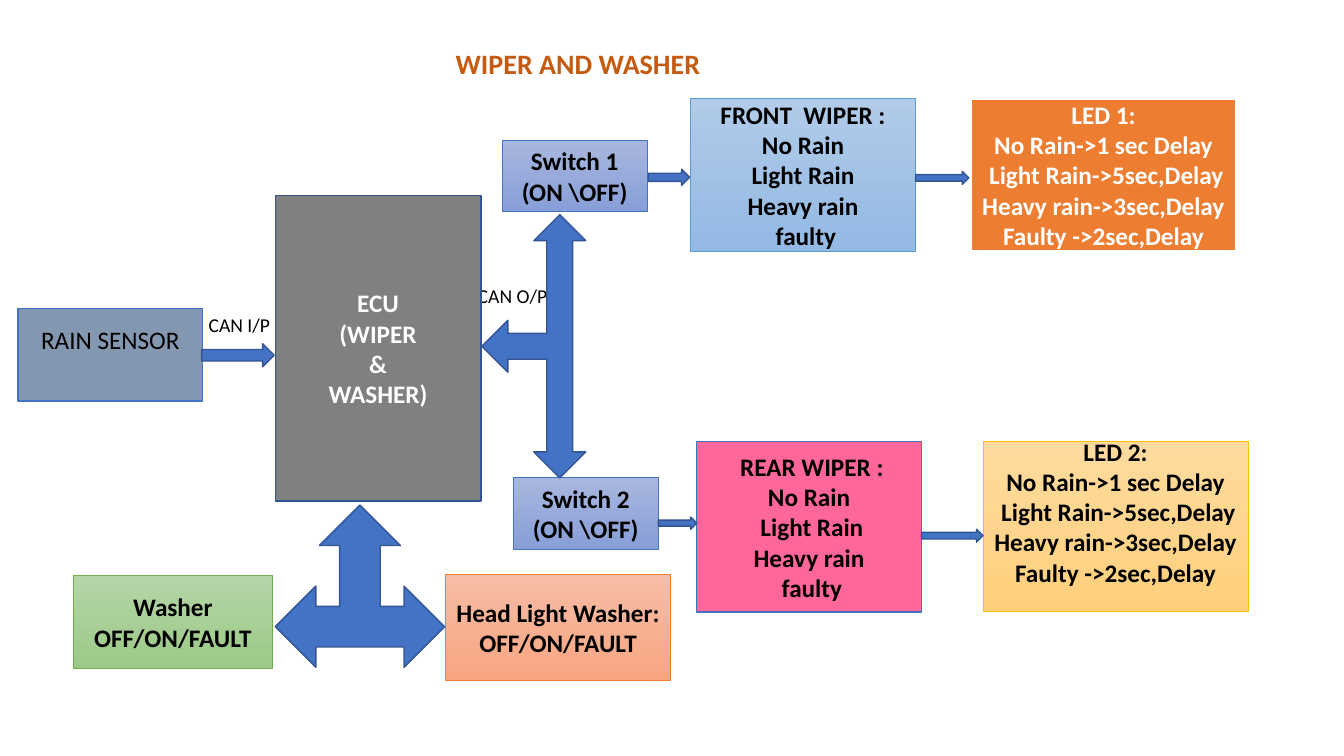
from pptx import Presentation
from pptx.dml.color import RGBColor
from pptx.enum.shapes import MSO_SHAPE as SHAPE
from pptx.enum.text import MSO_ANCHOR as ANCHOR, PP_ALIGN as ALIGN
from pptx.util import Inches, Pt

BLACK, WHITE, BLUE, NAVY = "000000", "FFFFFF", "4472C4", "325491"


def paint(target, *colors):
    """Fill with one colour, or with a gradient running from top to bottom."""
    if len(colors) == 1:
        target.solid()
        target.fore_color.rgb = RGBColor.from_string(colors[0])
        return
    target.gradient()
    target.gradient_angle = 270
    for stop, color in zip(target.gradient_stops, colors):
        stop.color.rgb = RGBColor.from_string(color)


def write(frame, text, size=18, color=BLACK, bold=True, align=ALIGN.CENTER,
          anchor=ANCHOR.MIDDLE, side=0.05, bottom=0.05):
    """Write each line of text as a formatted paragraph."""
    frame.word_wrap = True
    frame.vertical_anchor = anchor
    frame.margin_left = Inches(side)
    frame.margin_right = Inches(0.05)
    frame.margin_bottom = Inches(bottom)
    frame.text = text
    for paragraph in frame.paragraphs:
        paragraph.alignment = align
        font = paragraph.runs[0].font
        font.name, font.size, font.bold = "Calibri", Pt(size), bold
        paint(font.fill, color)


deck = Presentation()
deck.slide_width, deck.slide_height = Inches(13.33), Inches(7.5)
slide = deck.slides.add_slide(deck.slide_layouts[6])

delays = ("No Rain->1 sec Delay\n Light Rain->5sec,Delay\n"
          "Heavy rain->3sec,Delay\nFaulty ->2sec,Delay")
switch_fill = ("A8B7DF", "889ED7")
one_line = 0.35  # bottom inset that lifts the text by half a line

# Labels: left, top, width, height, text, format
labels = [
    (4.64, 2.77, 0.9, 0.34, "CAN O/P", dict(size=14, bold=False)),
    (1.97, 3.06, 1.11, 0.34, "CAN I/P", dict(size=14, bold=False)),
    (4.42, 0.41, 3.01, 0.44, "WIPER AND WASHER", dict(size=20, color="C55A11")),
]

# Blocks: left, top, width, height, fill, line colour, line width, text, format
blocks = [
    (6.85, 0.98, 2.23, 1.51, ("B1CBE9", "93B9E4"), "5B9BD5", 0.5,
     "FRONT  WIPER :\nNo Rain\nLight Rain\nHeavy rain\n faulty", {}),
    (6.91, 4.38, 2.23, 1.69, ("FF6699",), BLUE, 1,
     " REAR WIPER :\nNo Rain\n Light Rain\nHeavy rain\n faulty", {}),
    (4.98, 1.39, 1.44, 0.71, switch_fill, BLUE, 0.5, "Switch 1\n(ON \\OFF)", {}),
    (5.09, 4.74, 1.44, 0.71, switch_fill, BLUE, 0.5, "Switch 2\n(ON \\OFF)", {}),
    (9.63, 0.98, 2.63, 1.51, ("ED7D31",), WHITE, 1.5,
     "LED 1:\n" + delays, dict(color=WHITE)),
    (9.75, 4.38, 2.63, 1.69, ("FFDB9E", "FFD07C"), "FFC000", 0.5,
     "LED 2:\n" + delays, dict(bottom=one_line)),
    (2.73, 1.94, 2.04, 3.03, ("808080",), NAVY, 1,
     "ECU\n(WIPER\n&\nWASHER)", dict(color=WHITE)),
    (0.18, 3.06, 1.83, 0.92, ("8497B0",), BLUE, 1,
     "RAIN SENSOR", dict(bold=False, bottom=one_line)),
    (4.42, 5.7, 2.23, 1.05, ("F7BDA5", "F8A582"), "ED7D31", 0.5,
     "Head Light Washer:\nOFF/ON/FAULT", {}),
    (0.73, 5.71, 1.97, 0.92, ("B5D5A7", "9CC987"), "70AD47", 0.5,
     "Washer\nOFF/ON/FAULT", {}),
]

# Signals: shape, left, top, width, height, rotation
signals = [
    (SHAPE.RIGHT_ARROW, 2, 3.41, 0.72, 0.23, 0),
    (SHAPE.RIGHT_ARROW, 6.43, 1.68, 0.41, 0.16, 0),
    (SHAPE.RIGHT_ARROW, 9.08, 1.7, 0.53, 0.13, 0),
    (SHAPE.RIGHT_ARROW, 6.53, 5.13, 0.38, 0.12, 0),
    (SHAPE.RIGHT_ARROW, 9.14, 5.25, 0.61, 0.13, 0),
    (SHAPE.LEFT_RIGHT_UP_ARROW, 3.99, 2.92, 2.61, 1.03, 270),
    (SHAPE.LEFT_RIGHT_UP_ARROW, 2.73, 5.01, 1.68, 1.61, 0),
]

for *place, text, style in labels:
    label = slide.shapes.add_textbox(*map(Inches, place))
    write(label.text_frame, text, align=ALIGN.LEFT, anchor=ANCHOR.TOP,
          side=0.1, **style)

for *place, fill, edge, weight, text, style in blocks:
    block = slide.shapes.add_shape(SHAPE.RECTANGLE, *map(Inches, place))
    block.shadow.inherit = False
    paint(block.fill, *fill)
    paint(block.line.fill, edge)
    block.line.width = Pt(weight)
    write(block.text_frame, text, **style)

for kind, *place, turn in signals:
    signal = slide.shapes.add_shape(kind, *map(Inches, place))
    signal.shadow.inherit = False
    signal.rotation = turn
    paint(signal.fill, BLUE)
    paint(signal.line.fill, NAVY)
    signal.line.width = Pt(1)

deck.save("out.pptx")
